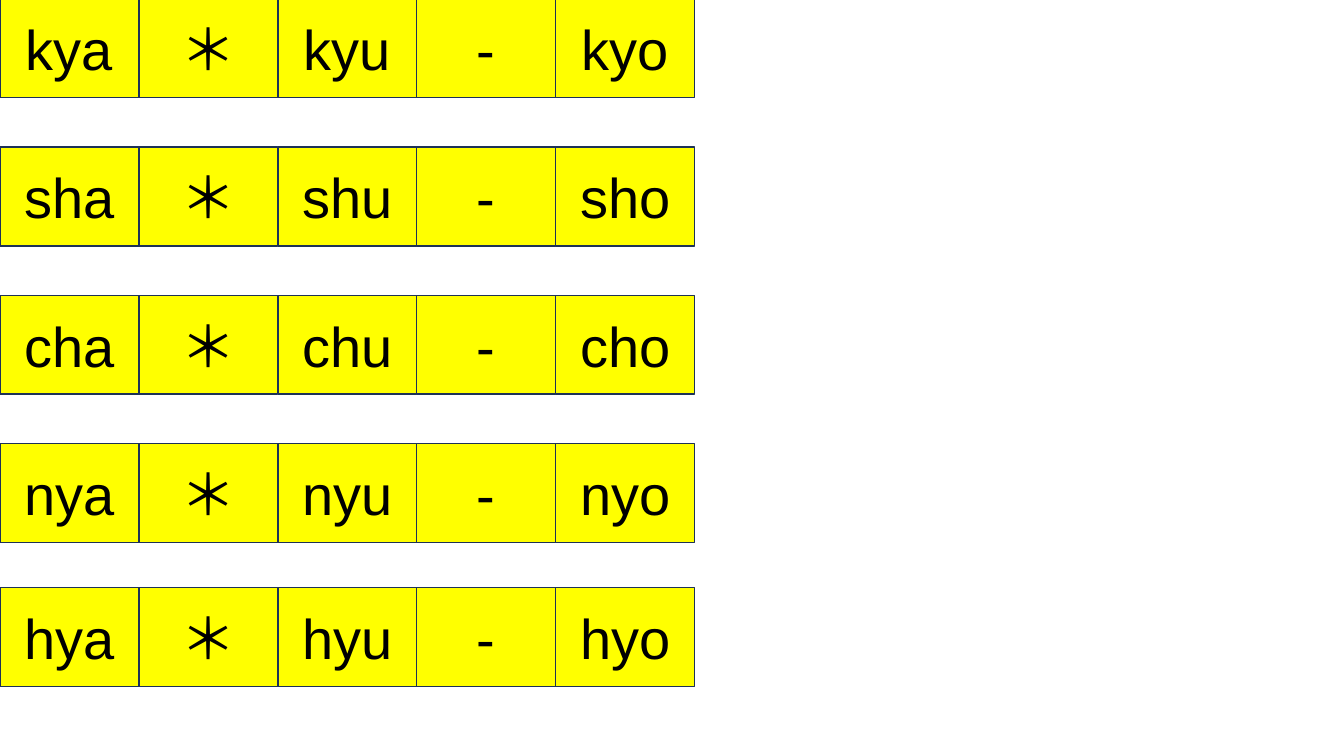
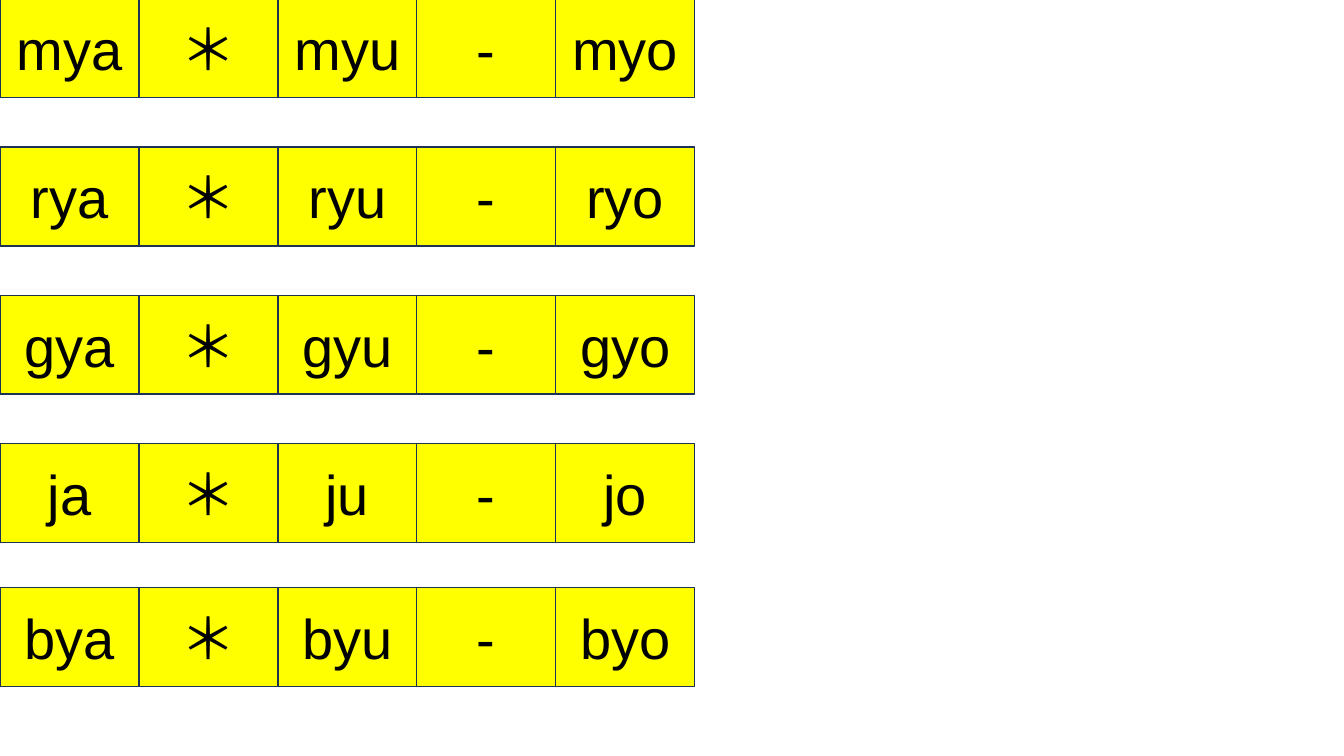
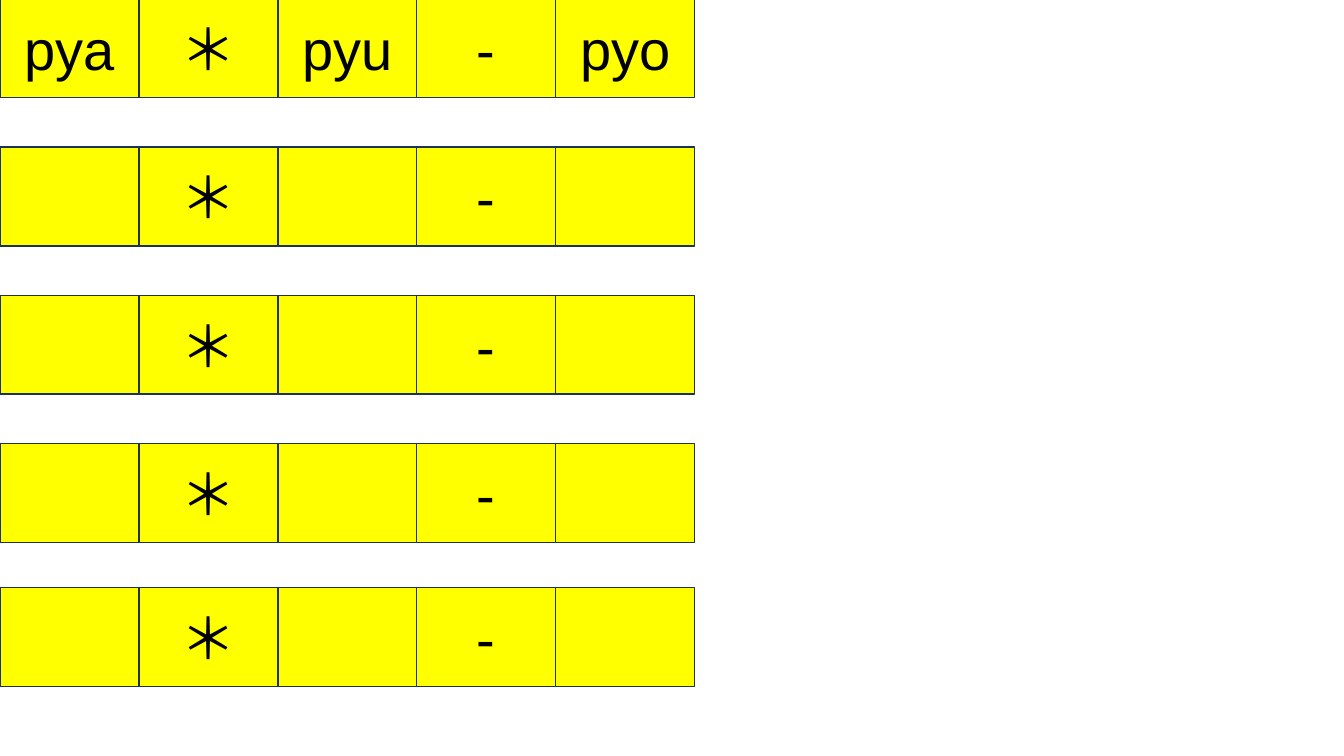
from dataclasses import dataclass

from pptx import Presentation
from pptx import util as u
from pptx.dml import color
from pptx.enum import shapes, text

COLORS = {"cell": "FFFF00", "border": "1E3256", "text": "000000"}
FONT = "Arial"
STRIP_WIDTH = 6.89
COLUMNS = 5
CELL_WIDTH = STRIP_WIDTH / COLUMNS
CELL_HEIGHT = 0.98
FIRST_TOP = -0.01
ROW_STEP = 1.47
ROW_TOPS = [FIRST_TOP + row * ROW_STEP for row in range(4)] + [5.83]


@dataclass(frozen=True)
class Strip:
    stem: str = ""

    def labels(self) -> list[str]:
        a, i, o = (self.stem + vowel if self.stem else "" for vowel in "auo")
        return [a, "＊", i, "-", o]


PAGES = [
    [Strip(stem) for stem in ("ky", "sh", "ch", "ny", "hy")],
    [Strip(stem) for stem in ("my", "ry", "gy", "j", "by")],
    [Strip(stem) for stem in ("py", "", "", "", "")],
]


def rgb(name: str) -> color.RGBColor:
    return color.RGBColor.from_string(COLORS[name])


def write_text(box, content: str, *, size: float = 40, ink: str = "text",
               align=text.PP_ALIGN.CENTER, anchor=text.MSO_ANCHOR.MIDDLE) -> None:
    frame = box.text_frame
    frame.word_wrap = True
    frame.vertical_anchor = anchor
    para = frame.paragraphs[0]
    para.alignment = align
    span = para.add_run()
    span.text = content
    span.font.name = FONT
    span.font.size = u.Pt(size)
    span.font.color.rgb = rgb(ink)


def draw_cell(page, left: float, top: float, label: str) -> None:
    box = page.shapes.add_shape(
        shapes.MSO_SHAPE.RECTANGLE,
        u.Inches(left), u.Inches(top), u.Inches(CELL_WIDTH), u.Inches(CELL_HEIGHT),
    )
    box.shadow.inherit = False
    box.fill.solid()
    box.fill.fore_color.rgb = rgb("cell")
    box.line.color.rgb = rgb("border")
    box.line.width = u.Pt(1)
    if label:
        write_text(box, label)


def draw_strip(page, strip: Strip, top: float) -> None:
    for column, label in enumerate(strip.labels()):
        draw_cell(page, column * CELL_WIDTH, top, label)


def main() -> None:
    deck = Presentation()
    deck.slide_width = u.Inches(13.33)
    deck.slide_height = u.Inches(7.5)
    for strips in PAGES:
        page = deck.slides.add_slide(deck.slide_layouts[6])
        for strip, top in zip(strips, ROW_TOPS):
            draw_strip(page, strip, top)
    deck.save("out.pptx")


if __name__ == "__main__":
    main()
